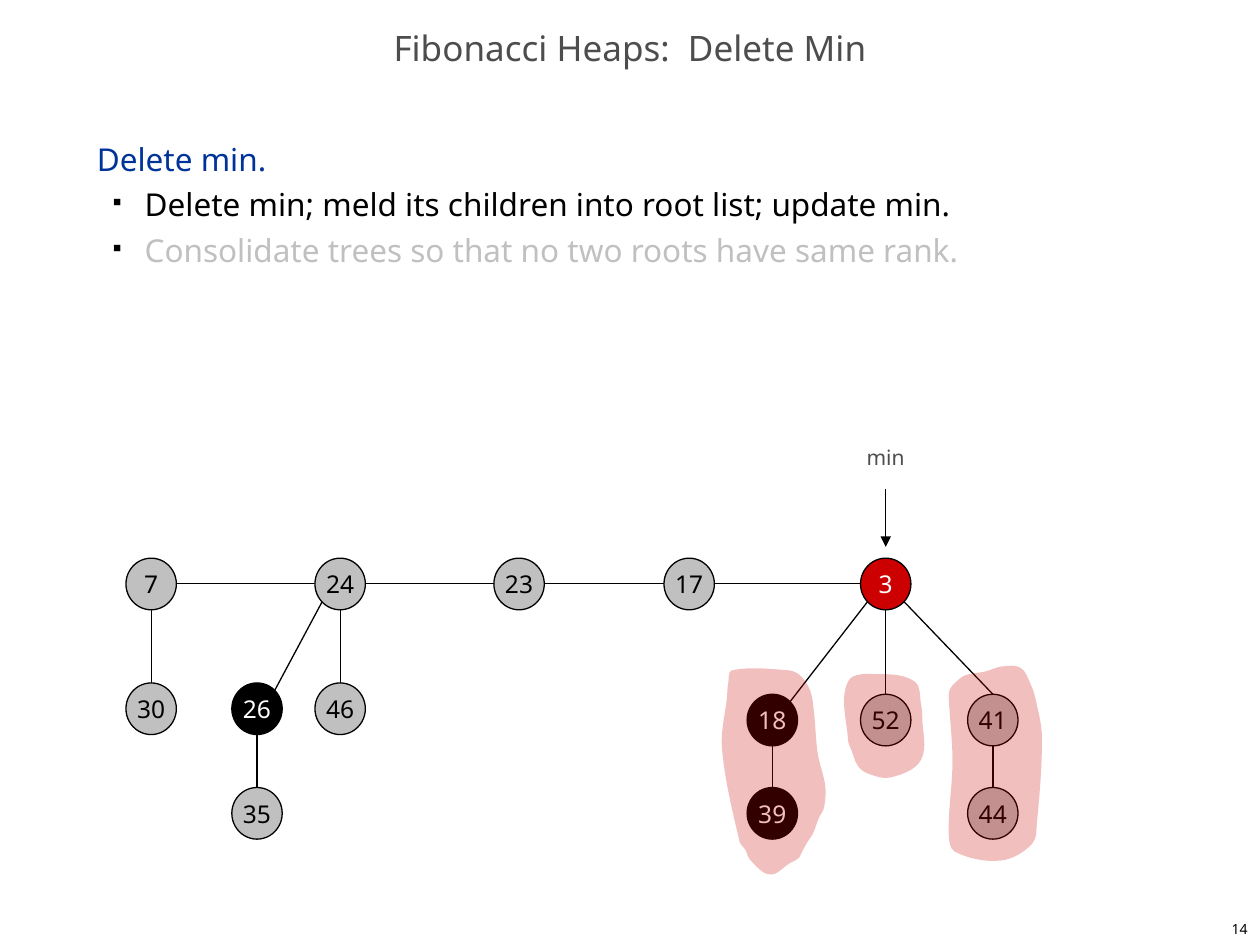
from dataclasses import dataclass
from math import dist

from lxml import etree
from pptx import Presentation
from pptx.dml.color import RGBColor
from pptx.enum.shapes import MSO_CONNECTOR, MSO_SHAPE
from pptx.enum.text import MSO_ANCHOR, MSO_AUTO_SIZE, PP_ALIGN
from pptx.oxml.ns import qn
from pptx.util import Pt

PX = 9144  # 100 px to the inch
FONT = "Noto Sans"
LINE_WIDTH = Pt(0.75)
LEFT, CENTER, RIGHT = PP_ALIGN.LEFT, PP_ALIGN.CENTER, PP_ALIGN.RIGHT
TOP, MIDDLE = MSO_ANCHOR.TOP, MSO_ANCHOR.MIDDLE
OVAL, STRAIGHT = MSO_SHAPE.OVAL, MSO_CONNECTOR.STRAIGHT
NO_AUTOSIZE = MSO_AUTO_SIZE.NONE

BLACK = RGBColor(0x00, 0x00, 0x00)
WHITE = RGBColor(0xFF, 0xFF, 0xFF)
SILVER = RGBColor(0xC0, 0xC0, 0xC0)
MARKED = RGBColor(0x01, 0x00, 0x00)
RED = RGBColor(0xCC, 0x00, 0x00)
BLUE = RGBColor(0x00, 0x33, 0x99)
GRAY = RGBColor(0x4D, 0x4D, 0x4D)

NODE_W, NODE_H = 40, 41
ROOT_Y, CHILD_Y, MIN_CHILD_Y, LEAF_Y = 443, 542, 551, 625

# Offsets from a node's top-left corner to points on its outline
SITES = {
    "top": (20, 0), "bottom": (20, 41), "left": (0, 20), "right": (40, 20),
    "top right": (34, 6), "bottom left": (6, 34), "bottom right": (34, 34),
}


@dataclass(frozen=True)
class Node:
    key: int
    x: int
    y: int
    fill: RGBColor = SILVER

    def site(self, name: str) -> tuple[int, int]:
        dx, dy = SITES[name]
        return self.x + dx, self.y + dy


@dataclass(frozen=True)
class Edge:
    parent: int
    child: int
    start: str = "bottom"
    end: str = "top"


ROOTS = [Node(7, 100, ROOT_Y), Node(24, 250, ROOT_Y), Node(23, 392, ROOT_Y),
         Node(17, 527, ROOT_Y), Node(3, 683, ROOT_Y, RED)]
DESCENDANTS = [
    Node(30, 100, CHILD_Y), Node(26, 184, CHILD_Y, MARKED), Node(46, 250, CHILD_Y),
    Node(35, 184, LEAF_Y),
    Node(18, 593, MIN_CHILD_Y, MARKED), Node(52, 683, MIN_CHILD_Y),
    Node(41, 768, MIN_CHILD_Y),
    Node(39, 593, LEAF_Y, MARKED), Node(44, 768, LEAF_Y),
]
TREE_EDGES = [
    Edge(7, 30), Edge(24, 46), Edge(26, 35), Edge(3, 52), Edge(18, 39), Edge(41, 44),
    Edge(24, 26, "bottom left", "top right"),
    Edge(3, 18, "bottom left", "top right"),
    Edge(3, 41, "bottom right"),
]
ROOT_LINKS = [Edge(a.key, b.key, "right", "left") for a, b in zip(ROOTS, ROOTS[1:])]

SUBTREE_OUTLINES = [
    [(581, 532), (626, 532), (635, 536), (643, 548), (646, 565), (649, 598),
     (655, 624), (654, 641), (650, 649), (645, 662), (641, 668), (636, 677),
     (634, 681), (627, 685), (611, 694), (595, 682), (592, 675), (587, 668),
     (573, 594), (577, 553), (578, 542)],
    [(673, 541), (698, 535), (726, 541), (731, 559), (732, 570), (731, 603),
     (707, 617), (689, 614), (681, 608), (676, 596), (673, 587)],
    [(754, 547), (758, 542), (766, 536), (782, 533), (795, 529), (810, 530),
     (818, 543), (822, 555), (827, 585), (823, 653), (819, 670), (794, 683),
     (758, 676), (753, 662), (756, 604), (753, 552)],
]


def write(p, text: str, *, size: int, color: RGBColor, align=LEFT, spacing=None):
    p.alignment = align
    if spacing is not None:
        p.line_spacing = spacing
    r = p.add_run()
    r.text = text
    r.font.name = FONT
    r.font.size = Pt(size)
    r.font.color.rgb = color


def frame(s, *, anchor=TOP, wrap=True):
    tf = s.text_frame
    tf.auto_size = NO_AUTOSIZE
    tf.word_wrap = wrap
    tf.vertical_anchor = anchor
    return tf


def place(s, x: int, y: int, w: int, h: int):
    s.left, s.top, s.width, s.height = (v * PX for v in (x, y, w, h))


def add_text_box(shapes, x: int, y: int, w: int, h: int, **layout):
    return frame(shapes.add_textbox(x * PX, y * PX, w * PX, h * PX), **layout)


def add_bullet(p):
    """Give the paragraph a small black square and a hanging indent."""
    pPr = p._p.get_or_add_pPr()
    pPr.set("marL", str(38 * PX))
    pPr.set("indent", str(-25 * PX))
    color = etree.SubElement(pPr, qn("a:buClr"))
    etree.SubElement(color, qn("a:srgbClr"), val=str(BLACK))
    etree.SubElement(pPr, qn("a:buSzPct"), val="35000")
    etree.SubElement(pPr, qn("a:buChar"), char="■")


def add_line(shapes, start: tuple[int, int], end: tuple[int, int], arrow: bool = False):
    s = shapes.add_connector(STRAIGHT, *(v * PX for v in (*start, *end)))
    s.line.color.rgb = BLACK
    s.line.width = LINE_WIDTH
    if arrow:
        etree.SubElement(s.line._get_or_add_ln(), qn("a:tailEnd"), type="triangle")
    etree.SubElement(s._element.spPr, qn("a:effectLst"))


def add_node(shapes, node: Node):
    s = shapes.add_shape(OVAL, *(v * PX for v in (node.x, node.y, NODE_W, NODE_H)))
    s.shadow.inherit = False
    s.fill.solid()
    s.fill.fore_color.rgb = node.fill
    s.line.color.rgb = BLACK
    s.line.width = LINE_WIDTH
    tf = frame(s, anchor=MIDDLE, wrap=False)
    color = BLACK if node.fill == SILVER else WHITE
    write(tf.paragraphs[0], str(node.key), size=14, color=color, align=CENTER)


def handle(at, before, after, reach: float) -> tuple[int, int]:
    """Control point at a distance from a point, along the chord of its neighbours."""
    ratio = reach / dist(before, after)
    return tuple(round(v + (b - a) * ratio) for v, a, b in zip(at, before, after))


def curve_segments(s, points: list[tuple[int, int]]):
    """Turn the straight segments of a closed outline into smooth curves."""
    left, top = (min(axis) for axis in zip(*points))
    n = len(points)
    for i, line in enumerate(list(s._element.iter(qn("a:lnTo")))):
        a, b, c, d = (points[(i + k) % n] for k in (-1, 0, 1, 2))
        reach = dist(b, c) / 3
        curve = etree.Element(qn("a:cubicBezTo"))
        for x, y in (handle(b, a, c, reach), handle(c, b, d, -reach), c):
            etree.SubElement(curve, qn("a:pt"), x=str(x - left), y=str(y - top))
        line.getparent().replace(line, curve)


def add_highlight(shapes, outline: list[tuple[int, int]]):
    points = [(x * PX, y * PX) for x, y in outline]
    builder = shapes.build_freeform(*points[0])
    builder.add_line_segments(points[1:] + points[:1], close=True)
    s = builder.convert_to_shape()
    curve_segments(s, points)
    s.shadow.inherit = False
    s.line.fill.background()
    s.fill.solid()
    s.fill.fore_color.rgb = RED
    color = s._element.spPr.find(qn("a:solidFill")).find(qn("a:srgbClr"))
    etree.SubElement(color, qn("a:alpha"), val="25000")


def main():
    prs = Presentation()
    prs.slide_width, prs.slide_height = 1000 * PX, 750 * PX
    shapes = prs.slides.add_slide(prs.slide_layouts[5]).shapes
    place(shapes.title, 0, 17, 1000, 50)
    write(frame(shapes.title, anchor=MIDDLE).paragraphs[0],
          "Fibonacci Heaps:  Delete Min", size=20, color=GRAY, align=CENTER, spacing=0.7)

    tf = add_text_box(shapes, 67, 100, 858, 592)
    write(tf.paragraphs[0], "Delete min.", size=18, color=BLUE, spacing=Pt(26))
    for text, color in [
        ("Delete min; meld its children into root list; update min.", BLACK),
        ("Consolidate trees so that no two roots have same rank.", SILVER),
    ]:
        p = tf.add_paragraph()
        write(p, text, size=18, color=color, spacing=Pt(26))
        add_bullet(p)

    nodes = {node.key: node for node in ROOTS + DESCENDANTS}
    for edge in ROOT_LINKS + TREE_EDGES:
        add_line(shapes, nodes[edge.parent].site(edge.start), nodes[edge.child].site(edge.end))
    for node in nodes.values():
        add_node(shapes, node)

    tf = add_text_box(shapes, 678, 348, 50, 30, wrap=False)
    write(tf.paragraphs[0], "min", size=12, color=GRAY)
    add_line(shapes, (703, 388), (703, 434), arrow=True)
    for outline in SUBTREE_OUTLINES:
        add_highlight(shapes, outline)
    tf = add_text_box(shapes, 792, 725, 208, 25, anchor=MIDDLE)
    write(tf.paragraphs[0], "14", size=8, color=BLACK, align=RIGHT)
    prs.save("out.pptx")


if __name__ == "__main__":
    main()
